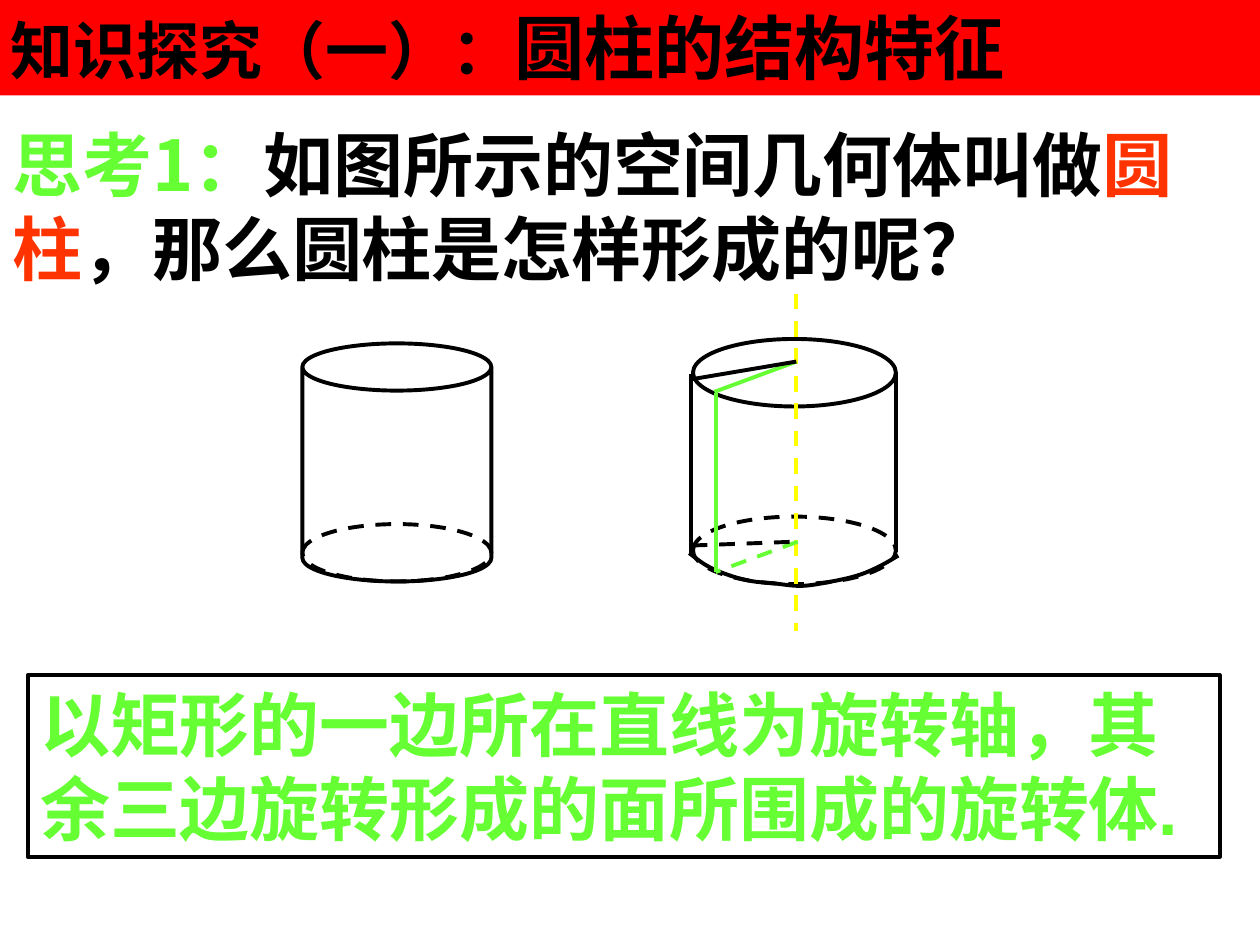
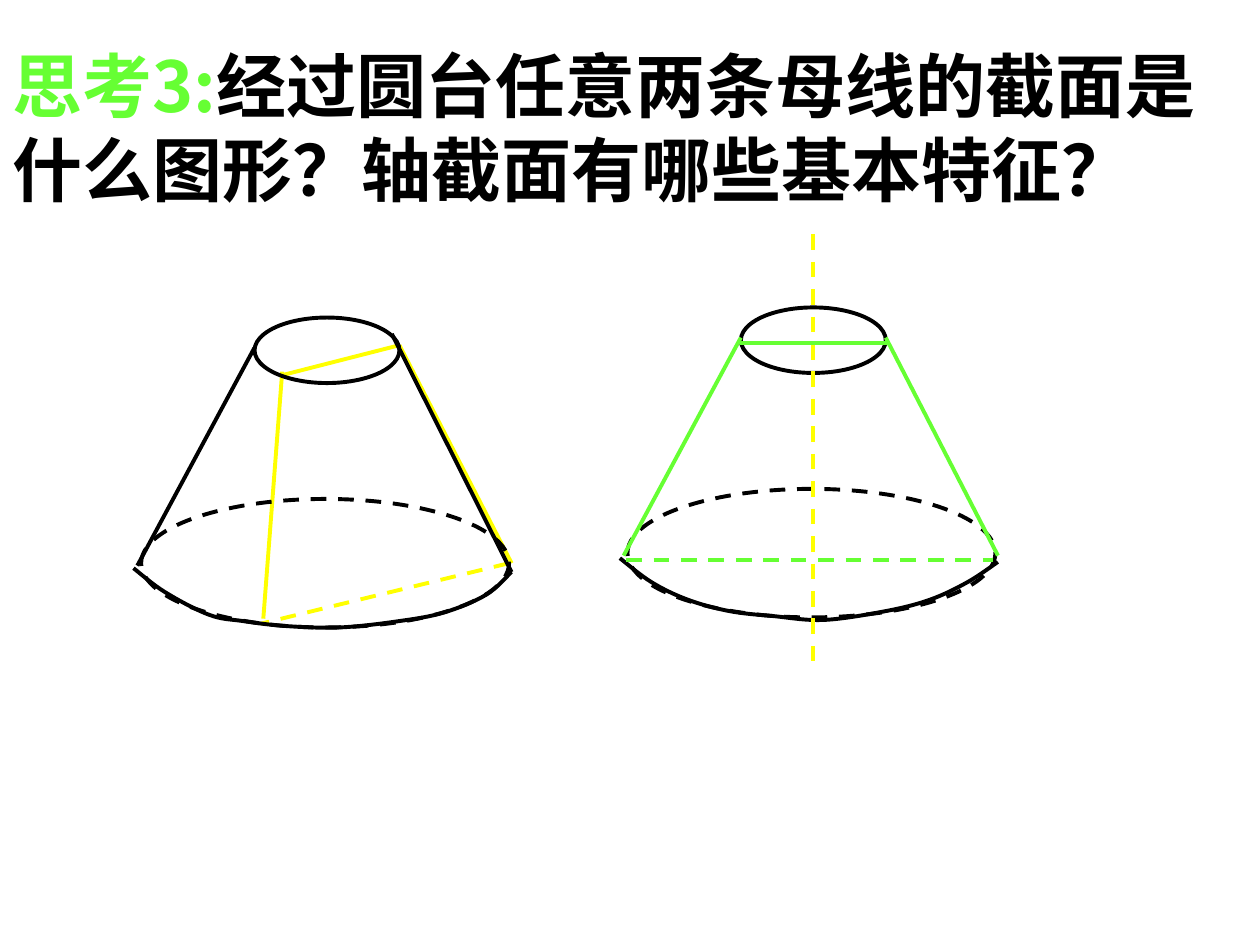
from lxml.etree import SubElement
from pptx import Presentation
from pptx.dml.color import RGBColor as Rgb
from pptx.enum.dml import MSO_LINE as Dash
from pptx.enum.lang import MSO_LANGUAGE_ID as Lang
from pptx.enum.shapes import MSO_CONNECTOR as Link, MSO_SHAPE as Form
from pptx.enum.text import MSO_ANCHOR as Anchor, MSO_AUTO_SIZE as Fit, PP_ALIGN as Align
from pptx.oxml.ns import qn
from pptx.util import Inches, Pt

WIDTH, HEIGHT = Inches(10), Inches(7.5)
COL, ROW = WIDTH / 100, HEIGHT / 75  # grid of 100 columns by 75 rows
COLORS = {"black": "000000", "red": "FF0000", "green": "66FF33",
          "orange": "FF3300", "yellow": "FFFF00"}
CJK = "Noto Sans CJK SC"


def grid(x, y):
    return round(x * COL), round(y * ROW)


def rgb(name):
    return Rgb.from_string(COLORS[name])


# Strokes and outlines
def stroke(line, color="black", dash=False):
    line.color.rgb = rgb(color)
    line.width = Pt(2.25)
    if dash:
        line.dash_style = Dash.DASH


def segment(slide, start, end, color="black", dash=False):
    link = slide.shapes.add_connector(Link.STRAIGHT, *grid(*start), *grid(*end))
    stroke(link.line, color, dash)
    SubElement(link._element.spPr, qn("a:effectLst"))


def hollow(shape, color="black", dash=False):
    shape.shadow.inherit = False
    shape.fill.background()
    stroke(shape.line, color, dash)
    return shape


def outline(slide, form, x, y, w, h, dash=False):
    shape = slide.shapes.add_shape(form, *grid(x, y), *grid(w, h))
    return hollow(shape, dash=dash)


def trace(slide, knots, color="black", dash=False):
    """Open freeform through the knots."""
    first, *rest = [grid(*knot) for knot in knots]
    pen = slide.shapes.build_freeform(*first)
    pen.add_line_segments(rest, close=False)
    return hollow(pen.convert_to_shape(), color, dash)


def curve(slide, knots):
    """Freeform whose sides are bent into smooth Bezier pieces."""
    shape = trace(slide, knots)
    spots = [grid(*knot) for knot in knots]
    ends = [spots[0], *spots, spots[-1]]
    sides = list(shape._element.iter(qn("a:lnTo")))
    for side, a, b, c, d in zip(sides, ends, ends[1:], ends[2:], ends[3:]):
        near = [q + (r - p) / 6 for p, q, r in zip(a, b, c)]
        far = [r - (s - q) / 6 for q, r, s in zip(b, c, d)]
        bend = side.getparent().makeelement(qn("a:cubicBezTo"))
        for x, y in (near, far, c):
            SubElement(bend, qn("a:pt"), x=str(round(x - shape.left)),
                       y=str(round(y - shape.top)))
        side.getparent().replace(side, bend)


# Text
def write(shape, runs, font=CJK, size=40):
    """Fill a shape with runs of (text, color) or (text, color, size)."""
    frame = shape.text_frame
    frame.word_wrap = True
    frame.auto_size = Fit.SHAPE_TO_FIT_TEXT
    frame.vertical_anchor = Anchor.TOP
    para = frame.paragraphs[0]
    para.alignment = Align.LEFT
    for text, color, *own in runs:
        run = para.add_run()
        run.text = text
        run.font.name = font
        run.font.size = Pt(own[0] if own else size)
        run.font.bold = True
        run.font.color.rgb = rgb(color)
        run.font.language_id = Lang.SIMPLIFIED_CHINESE
        SubElement(run._r.rPr, qn("a:ea"), typeface=CJK)


def question(slide, y, width, runs):
    write(slide.shapes.add_textbox(*grid(0, y), *grid(width, 14.4)), runs)


def banner(slide, runs):
    band = slide.shapes.add_shape(Form.RECTANGLE, *grid(-.12, -.12), *grid(100.12, 7.7))
    band.shadow.inherit = False
    band.fill.solid()
    band.fill.fore_color.rgb = rgb("red")
    band.line.fill.background()
    write(band, runs, font="Arial")


# Solids
def can(slide):
    body = outline(slide, Form.CAN, 24, 27.25, 15, 18.9)
    body.adjustments[0] = .25
    outline(slide, Form.OVAL, 24, 41.6, 15, 4.55, dash=True)


def turned(slide):
    """Cylinder swept by a rectangle turning about its axis."""
    for y, dash in ((26.9, False), (41, True)):
        outline(slide, Form.OVAL, 55, y, 16.1, 5.36, dash)
    for x, y in ((54.86, 29.7), (71.1, 29.5)):
        segment(slide, (x, y), (x, y + 14.3))
    curve(slide, [(54.7, 43.9), (56.1, 44.9), (57.7, 45.6), (59.5, 46.1),
                  (61.4, 46.3), (63.7, 46.5), (66.3, 46.1), (68.3, 45.6),
                  (69.9, 44.9), (71.3, 44.1)])
    segment(slide, (63.2, 23.3), (63.2, 50.1), "yellow", True)
    trace(slide, [(63.2, 28.7), (56.7, 31.1)], "green")
    trace(slide, [(63.3, 43), (56.8, 45.4)], "green", True)
    segment(slide, (56.8, 31.2), (56.8, 45.4), "green")
    trace(slide, [(54.9, 30.1), (63.2, 28.7)])
    trace(slide, [(54.9, 43.3), (63, 43)], dash=True)


def frustum(slide, x, y, rim):
    """Base ellipse starts at column x; the top ellipse starts at row y."""
    outline(slide, Form.OVAL, x + 9, y, 11.5, 5.2)
    outline(slide, Form.OVAL, x, y + 14.4, 29.2, 10.2, dash=True)
    curve(slide, [(x + right, y + down) for right, down in rim])


# Slides
def cylinder(slide):
    banner(slide, [("知识探究（一）：", "black", 36), ("圆柱的结构特征", "black")])
    question(slide, 9.15, 97.3, [
        ("思考1：", "green"), ("如图所示的空间几何体叫做", "black"),
        ("圆柱", "orange"), ("，那么圆柱是怎样形成的呢？", "black")])
    can(slide)
    answer = outline(slide, Form.RECTANGLE, 2.2, 53.6, 94.6, 14.4)
    write(answer, [("以矩形的一边所在直线为旋转轴，其余三边旋转形成的面所围成的旋转体.",
                    "green")], font="Arial")
    turned(slide)


def sections(slide):
    question(slide, 2.85, 100, [
        ("思考3:", "green"),
        ("经过圆台任意两条母线的截面是什么图形？轴截面有哪些基本特征？", "black")])
    # Section through two slant lines
    trace(slide, [(40.6, 44.7), (31.7, 27.4)], "yellow")
    segment(slide, (31.7, 27.4), (22.3, 29.8), "yellow")
    segment(slide, (40.4, 44.7), (20.7, 49.5), "yellow", True)
    segment(slide, (20.9, 49.1), (22.4, 29.5), "yellow")
    # Frustum with the axial section
    frustum(slide, 49.8, 24.4,
            [(-.6, 19.9), (1.9, 21.8), (4.8, 23.2), (8.1, 24.1), (11.6, 24.5),
             (15.6, 24.8), (20.5, 24.1), (24, 23.2), (27, 21.8), (29.4, 20.2)])
    trace(slide, [(79.2, 44.1), (70.3, 26.8)], "green")
    trace(slide, [(58.8, 26.8), (49.5, 44.1)], "green")
    segment(slide, (64.5, 18.6), (64.5, 52.7), "yellow", True)
    segment(slide, (58.7, 27.25), (70.5, 27.25), "green")
    segment(slide, (49.7, 44.42), (78.8, 44.42), "green", True)
    # Frustum around the first section
    frustum(slide, 11.2, 25.2,
            [(-.6, 19.9), (1.9, 21.8), (5.4, 23.6), (8.1, 24.1), (11.6, 24.5),
             (15.8, 24.6), (20.5, 24.1), (24.1, 23.4), (27.4, 22), (29.4, 20.2)])
    trace(slide, [(20.2, 27.6), (10.9, 44.9)])
    segment(slide, (31.1, 26.5), (40.6, 45.4))


def main():
    deck = Presentation()
    deck.slide_width, deck.slide_height = WIDTH, HEIGHT
    for build in (cylinder, sections):
        build(deck.slides.add_slide(deck.slide_layouts[6]))
    deck.save("out.pptx")


if __name__ == "__main__":
    main()
